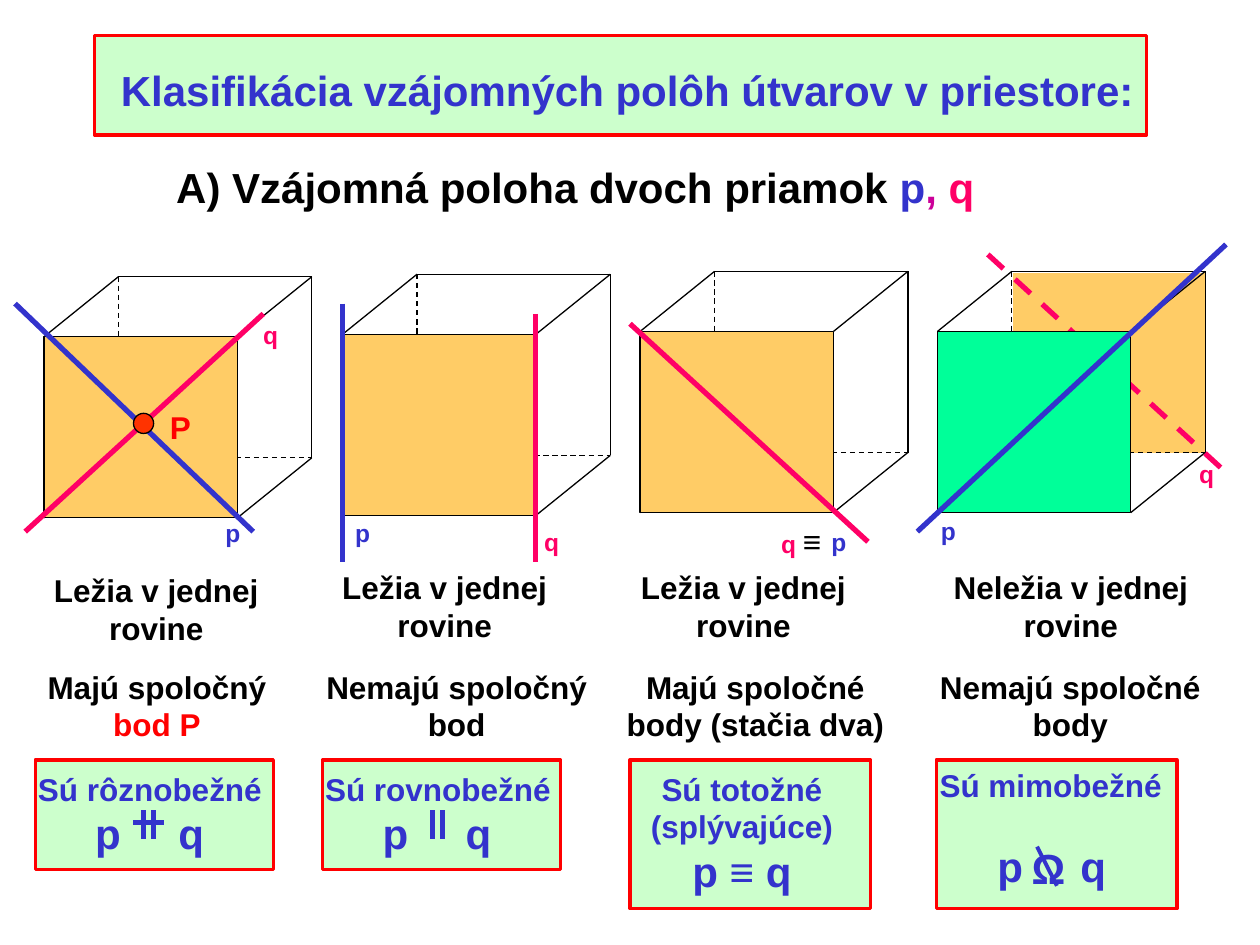
from pptx import Presentation
from pptx.dml.color import RGBColor
from pptx.enum.dml import MSO_LINE
from pptx.enum.shapes import MSO_CONNECTOR, MSO_SHAPE
from pptx.enum.text import MSO_ANCHOR, MSO_AUTO_SIZE, PP_ALIGN
from pptx.oxml import parse_xml
from pptx.oxml.ns import nsdecls, qn
from pptx.util import Pt
from lxml.etree import SubElement

C = {"black": "000000", "white": "FFFFFF", "blue": "3333CC", "pink": "FF0066",
     "purple": "CC0099", "red": "FF0000", "dot": "FF3300", "orange": "FFCC66",
     "green": "00FF99", "mint": "CCFFCC"}

TITLE = "Klasifikácia vzájomných polôh útvarov v priestore:"
HEADING = [[("A) Vzájomná poloha dvoch priamok ", 24, "black"), ("p", 24, "blue"),
            (", ", 24, "purple"), ("q", 24, "pink")]]
FACE_W, FACE_H, DEPTH_X, DEPTH_Y = 110.5, 103.5, 42.5, 34.3
TABS = (40, 87.5)
PAIR = "\tp\tq"

COLUMNS = [
    {"cube": (25.2, 192.4), "face": "orange",
     "lines": [(8.6, 173.5, 144.7, 303.8, "blue"), (150.5, 179.3, 14.4, 303.8, "pink")],
     "labels": [("p", "blue", 121.7, 292.3), ("q", "pink", 143.3, 179.3)],
     "plane": (23.8, 322.6, 131, "Ležia v jednej"),
     "points": (20.2, 139, "Majú spoločný", "bod P", "red"),
     "box": (20.2, 136, 62.6), "verdict": (14.4, 436.3, 142.6),
     "words": ["Sú rôznobežné"], "symbol": PAIR, "gap": 0,
     "marks": [(82, 463, 82, 479.5, 3), (87.8, 463, 87.8, 479.5, 3),
               (76.3, 470.2, 93.6, 470.2, 3)]},
    {"cube": (195.8, 191), "face": "orange",
     "lines": [(306, 179.3, 306, 321.1, "pink"), (195.8, 173.5, 195.8, 321.1, "blue")],
     "labels": [("p", "blue", 195.8, 292.3), ("q", "pink", 303.8, 297.4)],
     "plane": (188.6, 321.1, 131, "Ležia v jednej"),
     "points": (179.3, 163.4, "Nemajú spoločný", "bod", "black"),
     "box": (184.3, 136, 62.6), "verdict": (178.6, 436.3, 143.3),
     "words": ["Sú rovnobežné"], "symbol": PAIR, "gap": 0,
     "marks": [(247, 463, 247, 479.5, 3), (252.7, 463, 252.7, 479.5, 3)]},
    {"cube": (365.8, 189.4), "face": "orange",
     "lines": [(360, 185, 496, 309.6, "pink")],
     "labels": [("p", "blue", 468, 297.4)],
     "plane": (359.3, 321.1, 131, "Ležia v jednej"),
     "points": (348.5, 166.3, "Majú spoločné", "body (stačia dva)", "black"),
     "box": (360, 137.5, 85), "verdict": (365, 436.3, 118),
     "words": ["Sú totožné", "(splývajúce)"], "symbol": "p ≡ q", "gap": 0, "marks": []},
    {"cube": (535.7, 189.4), "face": "green", "back": "orange",
     "hidden": (564.5, 145.4, 700.6, 270),
     "lines": [(700.6, 139.7, 524.2, 303.8, "blue")],
     "labels": [("q", "pink", 678.2, 258.5), ("p", "blue", 530.6, 291.6)],
     "plane": (537.8, 321.1, 148.3, "Neležia v jednej"),
     "points": (529.9, 163.4, "Nemajú spoločné", "body", "black"),
     "box": (535, 137.5, 85), "verdict": (529.9, 434.2, 141),
     "words": ["Sú mimobežné"], "symbol": PAIR, "gap": 20.7,
     "marks": [(592.6, 483.8, 604, 506.2, 2.25)]},
]


def rgb(name):
    return RGBColor.from_string(C[name])


def add_box(shapes, kind, x, y, w, h, fill, line, width=0.75):
    """Add a filled preset shape."""
    sp = shapes.add_shape(kind, Pt(x), Pt(y), Pt(w), Pt(h))
    sp.shadow.inherit = False
    sp.fill.solid()
    sp.fill.fore_color.rgb = rgb(fill)
    sp.line.color.rgb, sp.line.width = rgb(line), Pt(width)


def add_line(shapes, x1, y1, x2, y2, color="black", width=0.75, dash=False):
    """Add a straight line."""
    ln = shapes.add_connector(MSO_CONNECTOR.STRAIGHT, Pt(x1), Pt(y1), Pt(x2), Pt(y2))
    ln.line.color.rgb, ln.line.width = rgb(color), Pt(width)
    if dash:
        ln.line.dash_style = MSO_LINE.DASH
    ln._element.spPr.append(parse_xml(f"<a:effectLst {nsdecls('a')}/>"))


def add_run(p, text, size, color):
    """Add a bold run to a paragraph."""
    r = p.add_run()
    r.text = text
    look = {"name": "Arial", "size": Pt(size), "bold": text != "≡"}
    for key, value in look.items():
        setattr(r.font, key, value)
    r.font.color.rgb = rgb(color)


def add_text(shapes, x, y, w, h, paragraphs, centred=True, gap=0):
    """Add a text box, with the gap placed before its last paragraph."""
    tf = shapes.add_textbox(Pt(x), Pt(y), Pt(w), Pt(h)).text_frame
    tf.word_wrap = True
    tf.margin_left = tf.margin_right = Pt(0 if centred else 7.2)
    for i, runs in enumerate(paragraphs):
        p = tf.add_paragraph() if i else tf.paragraphs[0]
        tabbed = runs[0][0] == PAIR
        p.alignment = PP_ALIGN.CENTER if centred and not tabbed else PP_ALIGN.LEFT
        if gap and i == len(paragraphs) - 1:
            p.space_before = Pt(gap)
        if tabbed:
            tabs = SubElement(p._p.get_or_add_pPr(), qn("a:tabLst"))
            for pos in TABS:
                SubElement(tabs, qn("a:tab"), pos=str(int(Pt(pos))), algn="l")
        for run in runs:
            add_run(p, *run)


def add_cube(s, col):
    """Draw the cube of one column with its lines."""
    x, y = col["cube"]
    bx, by = x + DEPTH_X, y - DEPTH_Y
    if "back" in col:
        add_box(s.shapes, MSO_SHAPE.RECTANGLE, bx + 0.5, by + 0.5, FACE_W, FACE_H,
                col["back"], "white")
    g = s.shapes.add_group_shape().shapes
    right, low, b_right, b_low = x + FACE_W, y + FACE_H, bx + FACE_W, by + FACE_H
    for edge in [(right, low, b_right, b_low), (b_right, by, b_right, b_low),
                 (bx, by, b_right, by), (x, y, bx, by), (right, y, b_right, by)]:
        add_line(g, *edge)
    for edge in [(bx, b_low, b_right, b_low), (bx, by, bx, b_low), (x, low, bx, b_low)]:
        add_line(g, *edge, dash=True)
    if "hidden" in col:
        add_line(s.shapes, *col["hidden"], "pink", 3, True)
    add_box(s.shapes, MSO_SHAPE.RECTANGLE, x, y, FACE_W, FACE_H, col["face"], "black")
    for line in col["lines"]:
        add_line(s.shapes, *line, 3)


def add_column(s, col):
    """Add one column: cube, labels, captions and verdict."""
    add_cube(s, col)
    for text, color, x, y in col["labels"]:
        add_text(s.shapes, x, y, 23, 24.5, [[(text, 14, color)]], False)
    x, y, w, text = col["plane"]
    add_text(s.shapes, x, y, w, 50.4, [[(t, 18, "black")] for t in (text, "rovine")])
    x, w, first, second, color = col["points"]
    add_text(s.shapes, x, 378, w, 50.4, [[(first, 18, "black")], [(second, 18, color)]])
    x, w, h = col["box"]
    add_box(s.shapes, MSO_SHAPE.RECTANGLE, x, 434.2, w, h, "mint", "red", 2)
    x, y, w = col["verdict"]
    words = [[(t, 18, "blue")] for t in col["words"]] + [[(col["symbol"], 24, "blue")]]
    add_text(s.shapes, x, y, w, h - 5, words, gap=col["gap"])
    for *ends, width in col["marks"]:
        add_line(s.shapes, *ends, "blue", width)


def main():
    prs = Presentation()
    prs.slide_width, prs.slide_height = Pt(720), Pt(540)
    s = prs.slides.add_slide(prs.slide_layouts[5])
    title = s.shapes.title
    place = {"left": 54, "top": 20.2, "width": 601.2, "height": 56.9}
    for key, value in place.items():
        setattr(title, key, Pt(value))
    title.fill.solid()
    title.fill.fore_color.rgb = rgb("mint")
    title.line.color.rgb, title.line.width = rgb("red"), Pt(2)
    tf = title.text_frame
    look = {"word_wrap": False, "auto_size": MSO_AUTO_SIZE.NONE,
            "vertical_anchor": MSO_ANCHOR.MIDDLE, "margin_left": Pt(15),
            "margin_right": Pt(7.2), "margin_top": Pt(9), "margin_bottom": Pt(3.6)}
    for key, value in look.items():
        setattr(tf, key, value)
    tf.paragraphs[0].alignment = PP_ALIGN.CENTER
    add_run(tf.paragraphs[0], TITLE, 24, "blue")
    add_text(s.shapes, 93.6, 88.6, 480, 36, HEADING, False)
    for col in COLUMNS:
        add_column(s, col)
    add_box(s.shapes, MSO_SHAPE.OVAL, 76.3, 236.2, 11.5, 11.5, "dot", "black")
    add_text(s.shapes, 90, 229.7, 26, 29, [[("P", 18, "red")]], False)
    add_text(s.shapes, 439.2, 294.5, 44.6, 29,
             [[("q ", 14, "pink"), ("≡", 18, "black")]], False)
    add_text(s.shapes, 582.5, 478, 44, 36, [[("Ω", 24, "blue")]], False)
    prs.save("out.pptx")


if __name__ == "__main__":
    main()
